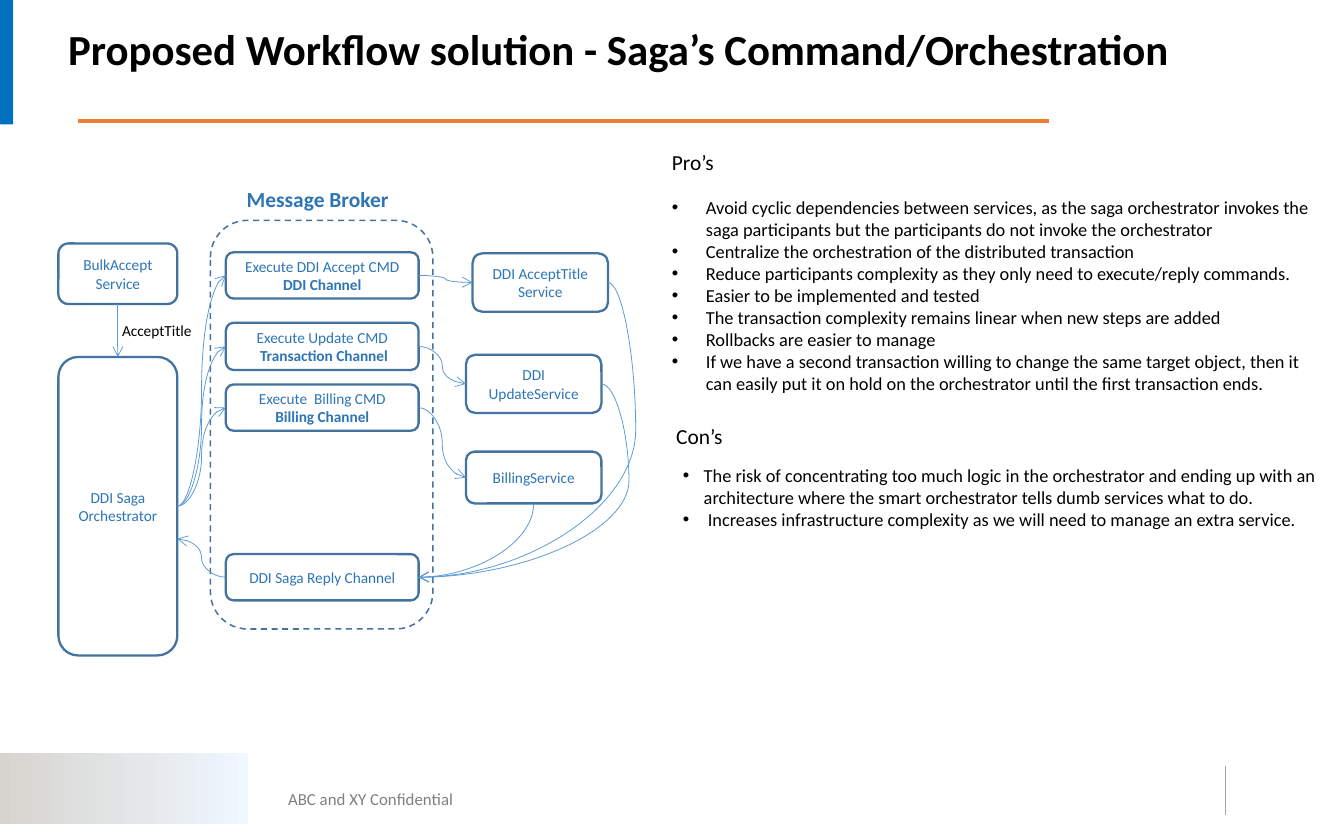
"""Build the saga orchestration workflow slide."""
from lxml.etree import SubElement
from pptx import Presentation
from pptx.dml.color import RGBColor
from pptx.enum.dml import MSO_LINE
from pptx.enum.shapes import MSO_CONNECTOR, MSO_SHAPE
from pptx.enum.text import MSO_ANCHOR, PP_ALIGN
from pptx.oxml.ns import qn
from pptx.util import Inches, Pt

C = {"black": "000000", "grey": "808080", "rule": "A6A6A6", "orange": "ED7D31",
     "bar": "0070C0", "border": "43739E", "label": "2E75B6", "arrow": "5B9BD5",
     "sand": "D7D4CF", "ice": "EFF7FF"}
RGB = {name: RGBColor.from_string(value) for name, value in C.items()}
TOP, LEFT, BOTTOM, RIGHT = range(4)

prs = Presentation()
prs.slide_width, prs.slide_height = Inches(12.2), Inches(7.48)
s = prs.slides.add_slide(prs.slide_layouts[6])


def write(sp, text, size=10, color="label", bold=False, align=PP_ALIGN.LEFT,
          anchor=MSO_ANCHOR.TOP, wrap=True, indent=0):
    """Fill a shape with lines of text, where ** toggles bold and indent adds bullets."""
    tf = sp.text_frame
    tf.word_wrap, tf.vertical_anchor = wrap, anchor
    for i, line in enumerate(text.split("\n")):
        p = tf.paragraphs[0] if i == 0 else tf.add_paragraph()
        p.alignment = align
        if indent:
            pPr = p._p.get_or_add_pPr()
            pPr.set("marL", str(Inches(indent)))
            pPr.set("indent", str(-Inches(indent)))
            SubElement(pPr, qn("a:buFont")).set("typeface", "Arial")
            SubElement(pPr, qn("a:buChar")).set("char", "•")
        for j, part in enumerate(line.split("**")):
            if part:
                r = p.add_run()
                r.text = part
                r.font.name, r.font.size = "Calibri", Pt(size)
                r.font.bold = bold or j % 2 == 1
                r.font.color.rgb = RGB[color]


def connect(kind, color, width, ends=(0, 0, 0, 0), arrow=None):
    """Add a line without shadow, with an arrowhead at headEnd or tailEnd."""
    cx = s.shapes.add_connector(kind, *[Inches(v) for v in ends])
    cx.line.color.rgb, cx.line.width = RGB[color], Pt(width)
    if arrow:
        SubElement(cx.line._get_or_add_ln(), qn("a:" + arrow)).set("type", "arrow")
    SubElement(cx._element.spPr, qn("a:effectLst"))
    return cx


band = s.shapes.add_shape(MSO_SHAPE.RECTANGLE, 0, Inches(6.84), Inches(2.25), Inches(0.64))
band.fill.gradient()
band.fill.gradient_angle = 0
for stop, name in zip(band.fill.gradient_stops, ("sand", "ice")):
    stop.color.rgb = RGB[name]
bar = s.shapes.add_shape(MSO_SHAPE.RECTANGLE, 0, 0, Inches(0.12), Inches(1.13))
bar.fill.solid()
bar.fill.fore_color.rgb = RGB["bar"]
for sp in (band, bar):
    sp.line.fill.background()
    sp.shadow.inherit = False
connect(MSO_CONNECTOR.STRAIGHT, "rule", 0.25, (11.12, 6.95, 11.12, 7.4))
connect(MSO_CONNECTOR.STRAIGHT, "orange", 3, (0.71, 1.1, 9.52, 1.1))

boxes = {
    "broker": (1.91, 2, 2.02, 3.71, ""),
    "bulk": (0.53, 2.21, 1.08, 0.55, "BulkAccept\nService"),
    "saga": (0.53, 3.24, 1.08, 2.71, "DDI Saga Orchestrator"),
    "accept cmd": (2.05, 2.29, 1.75, 0.42, "Execute DDI Accept CMD **DDI Channel**"),
    "update cmd": (2.05, 2.93, 1.75, 0.43, "Execute Update CMD\n **Transaction Channel**"),
    "billing cmd": (2.05, 3.49, 1.75, 0.42, "Execute  Billing CMD\n**Billing Channel**"),
    "reply": (2.05, 5.03, 1.75, 0.42, "DDI Saga Reply Channel"),
    "accept": (4.29, 2.3, 1.23, 0.53, "DDI AcceptTitle Service"),
    "update": (4.23, 3.22, 1.23, 0.53, "DDI UpdateService"),
    "billing": (4.23, 4.1, 1.23, 0.47, "BillingService"),
}
node = {}
for name, (*area, text) in boxes.items():
    sp = s.shapes.add_shape(MSO_SHAPE.ROUNDED_RECTANGLE, *[Inches(v) for v in area])
    sp.fill.background()
    sp.shadow.inherit = False
    sp.line.color.rgb, sp.line.width = RGB["border"], Pt(1.5)
    if text:
        write(sp, text, align=PP_ALIGN.CENTER, anchor=MSO_ANCHOR.MIDDLE)
    node[name] = sp
node["broker"].line.width = Pt(1)
node["broker"].line.dash_style = MSO_LINE.DASH

flows = [("saga", RIGHT, f"{step} cmd", LEFT, None) for step in ("accept", "update", "billing")]
flows += [(f"{step} cmd", RIGHT, step, LEFT, None) for step in ("accept", "update", "billing")]
flows += [("update", RIGHT, "reply", RIGHT, -15100), ("accept", RIGHT, "reply", RIGHT, -14600)]
for start, start_site, end, end_site, bend in flows:
    cx = connect(MSO_CONNECTOR.CURVE, "arrow", 0.5, arrow="tailEnd")
    cx.begin_connect(node[start], start_site)
    cx.end_connect(node[end], end_site)
    if bend:
        gd = SubElement(cx._element.spPr.prstGeom.get_or_add_avLst(), qn("a:gd"))
        gd.set("name", "adj1")
        gd.set("fmla", f"val {bend}")

call = connect(MSO_CONNECTOR.STRAIGHT, "arrow", 0.5, arrow="tailEnd")
call.begin_connect(node["bulk"], BOTTOM)
call.end_connect(node["saga"], TOP)
billed = connect(MSO_CONNECTOR.CURVE, "arrow", 0.5, arrow="headEnd")
billed.begin_connect(node["reply"], RIGHT)
billed.end_connect(node["billing"], BOTTOM)
billed._element.spPr.prstGeom.set("prst", "curvedConnector2")
answer = connect(MSO_CONNECTOR.CURVE, "arrow", 0.5, (2.05, 5.24, 1.61, 4.89), "tailEnd")
answer.begin_connect(node["reply"], LEFT)

pros = """Avoid cyclic dependencies between services, as the saga orchestrator invokes the saga participants but the participants do not invoke the orchestrator
Centralize the orchestration of the distributed transaction
Reduce participants complexity as they only need to execute/reply commands.
Easier to be implemented and tested
The transaction complexity remains linear when new steps are added
Rollbacks are easier to manage
If we have a second transaction willing to change the same target object, then it can easily put it on hold on the orchestrator until the first transaction ends."""
cons = """The risk of concentrating too much logic in the orchestrator and ending up with an architecture where the smart orchestrator tells dumb services what to do.
 Increases infrastructure complexity as we will need to manage an extra service."""
head = dict(size=14, color="black", wrap=False)
texts = [
    (0.52, 0.16, 11.58, 0.57, "Proposed Workflow solution - Saga’s Command/Orchestration",
     dict(size=28, color="black", bold=True)),
    (2.25, 7.1, 2.23, 0.3, "ABC and XY Confidential",
     dict(size=11, color="grey", align=PP_ALIGN.CENTER, anchor=MSO_ANCHOR.MIDDLE)),
    (1.01, 2.87, 0.84, 0.27, "AcceptTitle", dict(color="black", wrap=False)),
    (2.14, 1.64, 1.5, 0.34, "Message Broker", dict(size=14, bold=True, wrap=False)),
    (6, 1.3, 0.59, 0.34, "Pro’s", head),
    (6, 1.73, 6.1, 1.92, pros, dict(size=12, color="black", indent=0.31)),
    (6.04, 3.79, 0.63, 0.34, "Con’s", head),
    (6.1, 4.16, 6.1, 0.71, cons, dict(size=12, color="black", indent=0.19)),
]
for *area, text, style in texts:
    write(s.shapes.add_textbox(*[Inches(v) for v in area]), text, **style)

prs.save("out.pptx")
